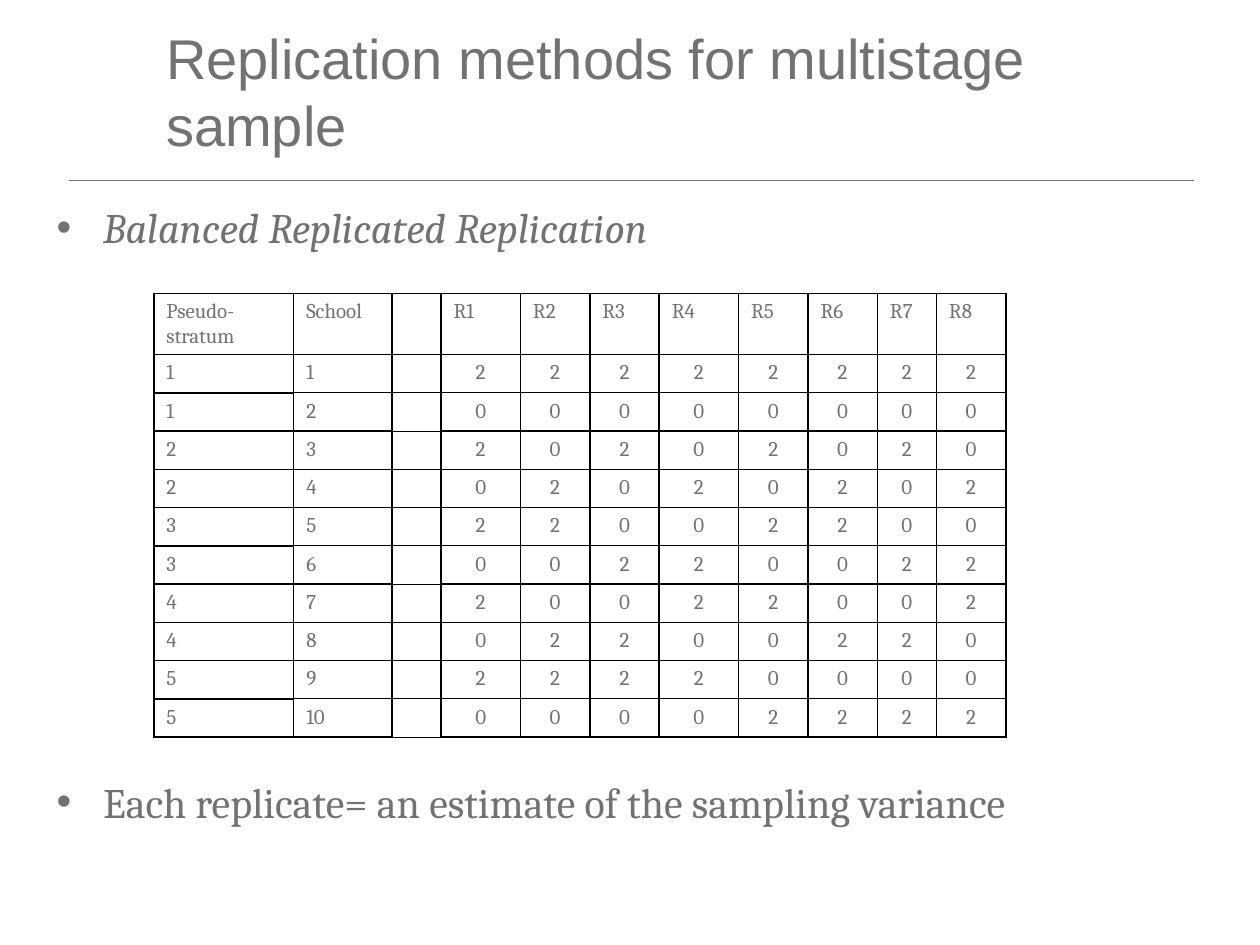
import pptx
import pptx.dml.color
import pptx.enum.shapes
import pptx.enum.text
import pptx.oxml
import pptx.oxml.ns
import pptx.util
from lxml import etree

Cm, Pt = pptx.util.Cm, pptx.util.Pt
ALIGN = pptx.enum.text.PP_ALIGN
COLOURS = {"text": "727272", "border": "000000", "back": "FFFFFF"}
HEADINGS = ["Pseudo-\nstratum", "School", ""] + [f"R{n}" for n in range(1, 9)]
# One string of replicate weights R1 to R8 for each school
WEIGHTS = ["22222222", "00000000", "20202020", "02020202", "22002200",
           "00220022", "20022002", "02200220", "22220000", "00002222"]
COLUMN_WIDTHS = [2.82, 1.98, 0.99, 1.6, 1.4, 1.4, 1.6, 1.4, 1.4, 1.19, 1.4]
GAP_COLUMN = 2
THIN, THICK = 0.75, 1


def sub(parent, tag, **attributes):
    return etree.SubElement(parent, pptx.oxml.ns.qn(tag), attributes)


def rgb(name):
    return pptx.dml.color.RGBColor.from_string(COLOURS[name])


class SlideBuilder:
    body_font = "Cambria"
    title_font = "Arial"

    def __init__(self, slide):
        self.slide = slide
        slide.background.fill.solid()
        slide.background.fill.fore_color.rgb = rgb("back")

    def style(self, para, font, size, italic=False):
        for span in para.runs:
            span.font.name = font
            span.font.size = Pt(size)
            span.font.italic = italic
            span.font.color.rgb = rgb("text")

    def hang(self, para, indent):
        props = para._p.get_or_add_pPr()
        props.set("marL", str(Cm(indent)))
        props.set("indent", str(-Cm(indent)))
        return props

    def text_box(self, text, left, top, width, height):
        box = self.slide.shapes.add_textbox(Cm(left), Cm(top), Cm(width), Cm(height))
        box.text_frame.word_wrap = True
        box.text_frame.text = text
        return box.text_frame

    def title(self, text, *place):
        frame = self.text_box(text, *place)
        frame.vertical_anchor = pptx.enum.text.MSO_ANCHOR.MIDDLE
        frame.margin_right = Cm(0.5)
        self.style(frame.paragraphs[0], self.title_font, 32)

    def bullet(self, text, *place, italic=False):
        para = self.text_box(text, *place).paragraphs[0]
        para.space_before = Pt(7.6)
        self.style(para, self.body_font, 24, italic)
        props = self.hang(para, 0.94)
        sub(sub(props, "a:buClr"), "a:srgbClr", val=COLOURS["text"])
        sub(props, "a:buFont", typeface="Arial")
        sub(props, "a:buChar", char="•")

    def rule(self, left, top, width):
        line = self.slide.shapes.add_connector(
            pptx.enum.shapes.MSO_CONNECTOR.STRAIGHT,
            Cm(left), Cm(top), Cm(left + width), Cm(top))
        line.line.color.rgb = rgb("text")
        line.line.width = Pt(0.5)
        sub(line._element.spPr, "a:effectLst")

    def borders(self, cell, top, bottom):
        props = cell._tc.get_or_add_tcPr()
        sides = {"a:lnL": THICK, "a:lnR": THICK, "a:lnT": top, "a:lnB": bottom}
        for tag, width in sides.items():
            edge = sub(props, tag, w=str(Pt(width)))
            sub(sub(edge, "a:solidFill"), "a:srgbClr", val=COLOURS["border"])
        sub(props, "a:noFill")

    def cell(self, cell, text, align):
        cell.text_frame.text = text
        for para in cell.text_frame.paragraphs:
            para.alignment = align
            self.hang(para, 0.97)
            self.style(para, self.body_font, 12)
            if not text:
                sub(para._p, "a:endParaRPr", sz="1200")

    def table(self, rows, left, top, header_height, row_height):
        frame = self.slide.shapes.add_table(
            len(rows), len(COLUMN_WIDTHS), Cm(left), Cm(top),
            Cm(sum(COLUMN_WIDTHS)), Cm(header_height + row_height * (len(rows) - 1)))
        table = frame.table
        table.first_row = table.horz_banding = False
        for column, width in zip(table.columns, COLUMN_WIDTHS):
            column.width = Cm(width)
        for r, row in enumerate(rows):
            table.rows[r].height = Cm(row_height if r else header_height)
            for c, text in enumerate(row):
                centred = r > 0 and c > GAP_COLUMN
                self.cell(table.cell(r, c), text, ALIGN.CENTER if centred else ALIGN.JUSTIFY)
                # The two schools of a stratum are parted by a thin line
                if c == GAP_COLUMN:
                    edges = THIN, THIN
                elif r == 0 or c == 0:
                    edges = THICK, THICK
                else:
                    edges = (THICK, THIN) if r % 2 else (THIN, THICK)
                self.borders(table.cell(r, c), *edges)


def main():
    deck = pptx.Presentation()
    deck.slide_width, deck.slide_height = Cm(25.4), Cm(19.05)
    page = SlideBuilder(deck.slides.add_slide(deck.slide_layouts[6]))

    # Heading
    page.rule(1.4, 3.63, 22.66)

    # Replicate weights, two schools to each pseudo-stratum
    rows = [HEADINGS]
    for school, weights in enumerate(WEIGHTS, 1):
        rows.append([str((school + 1) // 2), str(school), "", *weights])
    page.table(rows, 3.1, 5.92, 1.23, 0.74)

    # Title and bullets
    page.title("Replication methods for multistage sample", 3.1, 0.81, 21.79, 2.03)
    page.bullet("Balanced Replicated Replication", 0.89, 3.94, 15.19, 1.3, italic=True)
    page.bullet("Each replicate= an estimate of the sampling variance", 0.89, 15.52, 21.21, 1.3)

    deck.save("out.pptx")


if __name__ == "__main__":
    main()
